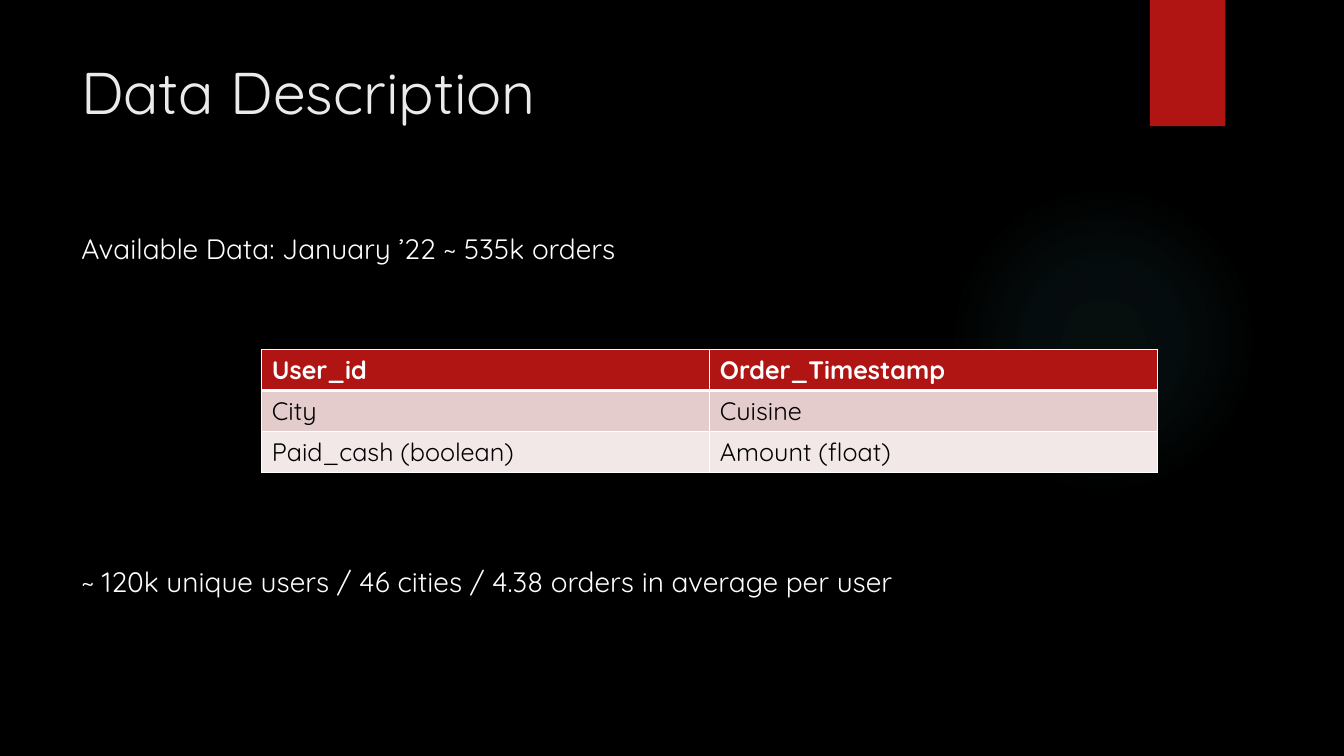
from lxml.etree import SubElement as Sub
from pptx import Presentation
from pptx.dml.color import RGBColor
from pptx.enum.shapes import MSO_SHAPE as Shape
from pptx.oxml.ns import qn
from pptx.util import Cm, Pt

FONT = "Quicksand"
BLACK = RGBColor(0x00, 0x00, 0x00)
WHITE = RGBColor(0xFF, 0xFF, 0xFF)
PALE = RGBColor(0xEB, 0xEB, 0xEB)
RED = RGBColor(0xB0, 0x15, 0x13)
TEAL = RGBColor(0x50, 0xB9, 0xC1)
ROSE = RGBColor(0xE4, 0xCC, 0xCC)
BLUSH = RGBColor(0xF2, 0xE8, 0xE7)

FIELDS = [
    ("User_id", "Order_Timestamp"),
    ("City", "Cuisine"),
    ("Paid_cash (boolean)", "Amount (float)"),
]
FILLS = [RED, ROSE, BLUSH]


def set_font(par, size, color, bold=False):
    font = par.font
    font.name = FONT
    font.size = Pt(size)
    font.bold = bold
    font.color.rgb = color


def add_text(slide, text, top, height, size, color):
    box = slide.shapes.add_textbox(Cm(1.8), Cm(top), Cm(29.06), Cm(height))
    frame = box.text_frame
    frame.word_wrap = True
    frame.text = text
    set_font(frame.paragraphs[0], size, color)


def add_shape(slide, kind, left, top, width, height):
    shape = slide.shapes.add_shape(kind, Cm(left), Cm(top), Cm(width), Cm(height))
    shape.shadow.inherit = False
    shape.line.fill.background()
    return shape


def add_glow(slide):
    glow = add_shape(slide, Shape.OVAL, 23.9, 4.65, 7.82, 7.82)
    glow.fill.gradient()
    grad = glow.fill._fill._gradFill
    for child in list(grad):
        grad.remove(child)
    stops = Sub(grad, qn("a:gsLst"))
    for pos, alpha in [(0, 7), (36, 6), (69, 0)]:
        stop = Sub(stops, qn("a:gs"), pos=str(pos * 1000))
        color = Sub(stop, qn("a:srgbClr"), val=str(TEAL))
        Sub(color, qn("a:alpha"), val=str(alpha * 1000))
    shade = Sub(grad, qn("a:path"), path="circle")
    Sub(shade, qn("a:fillToRect"), l="50000", t="50000", r="50000", b="50000")


def add_flag(slide):
    flag = add_shape(slide, Shape.RECTANGLE, 28.98, 0, 1.9, 3.18)
    flag.fill.solid()
    flag.fill.fore_color.rgb = RED


def set_edges(cell, top, bottom):
    props = cell._tc.get_or_add_tcPr()
    for side, width in [("L", 1), ("R", 1), ("T", top), ("B", bottom)]:
        line = Sub(props, qn(f"a:ln{side}"), w=str(Pt(width)))
        fill = Sub(line, qn("a:solidFill"))
        Sub(fill, qn("a:srgbClr"), val=str(WHITE))


def add_fields(slide):
    table = slide.shapes.add_table(
        len(FIELDS), 2, Cm(6.6), Cm(8.81), Cm(22.58), Cm(3.09)
    ).table
    for row, texts in enumerate(FIELDS):
        head = row == 0
        for col, text in enumerate(texts):
            cell = table.cell(row, col)
            cell.text = text
            set_font(cell.text_frame.paragraphs[0], 18, WHITE if head else BLACK, head)
            set_edges(cell, 3 if row == 1 else 1, 3 if head else 1)
            cell.fill.solid()
            cell.fill.fore_color.rgb = FILLS[row]


def main():
    deck = Presentation()
    deck.slide_width, deck.slide_height = Cm(33.87), Cm(19.05)
    slide = deck.slides.add_slide(deck.slide_layouts[6])
    back = slide.background.fill
    back.solid()
    back.fore_color.rgb = BLACK
    add_glow(slide)
    add_flag(slide)
    add_text(slide, "Data Description", 1.27, 3.89, 42, PALE)
    add_text(slide, "Available Data: January ’22 ~ 535k orders", 5.72, 1.2, 20, WHITE)
    add_text(
        slide,
        "~ 120k unique users / 46 cities / 4.38 orders in average per user",
        14.1, 1.2, 20, WHITE,
    )
    add_fields(slide)
    deck.save("out.pptx")


if __name__ == "__main__":
    main()
